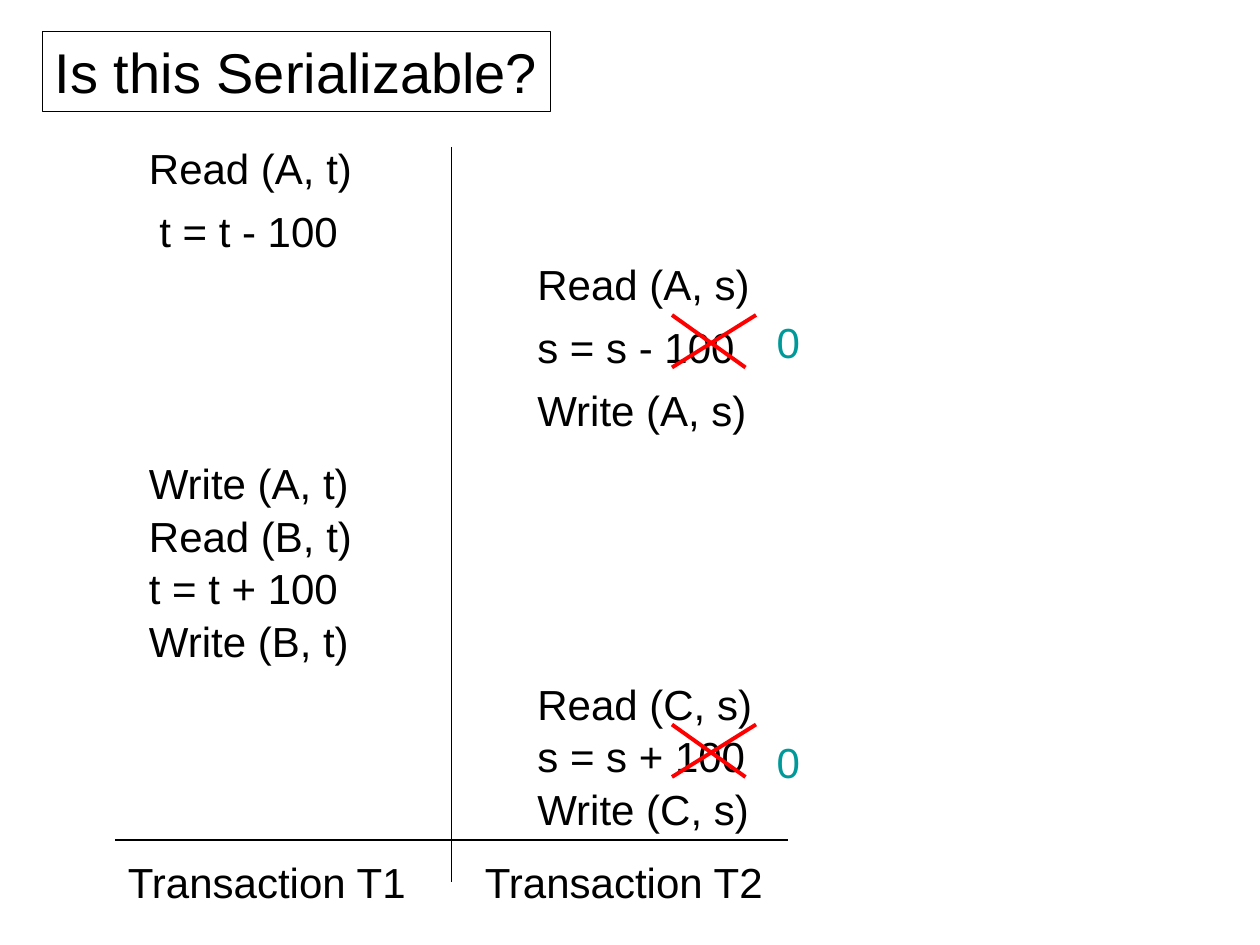
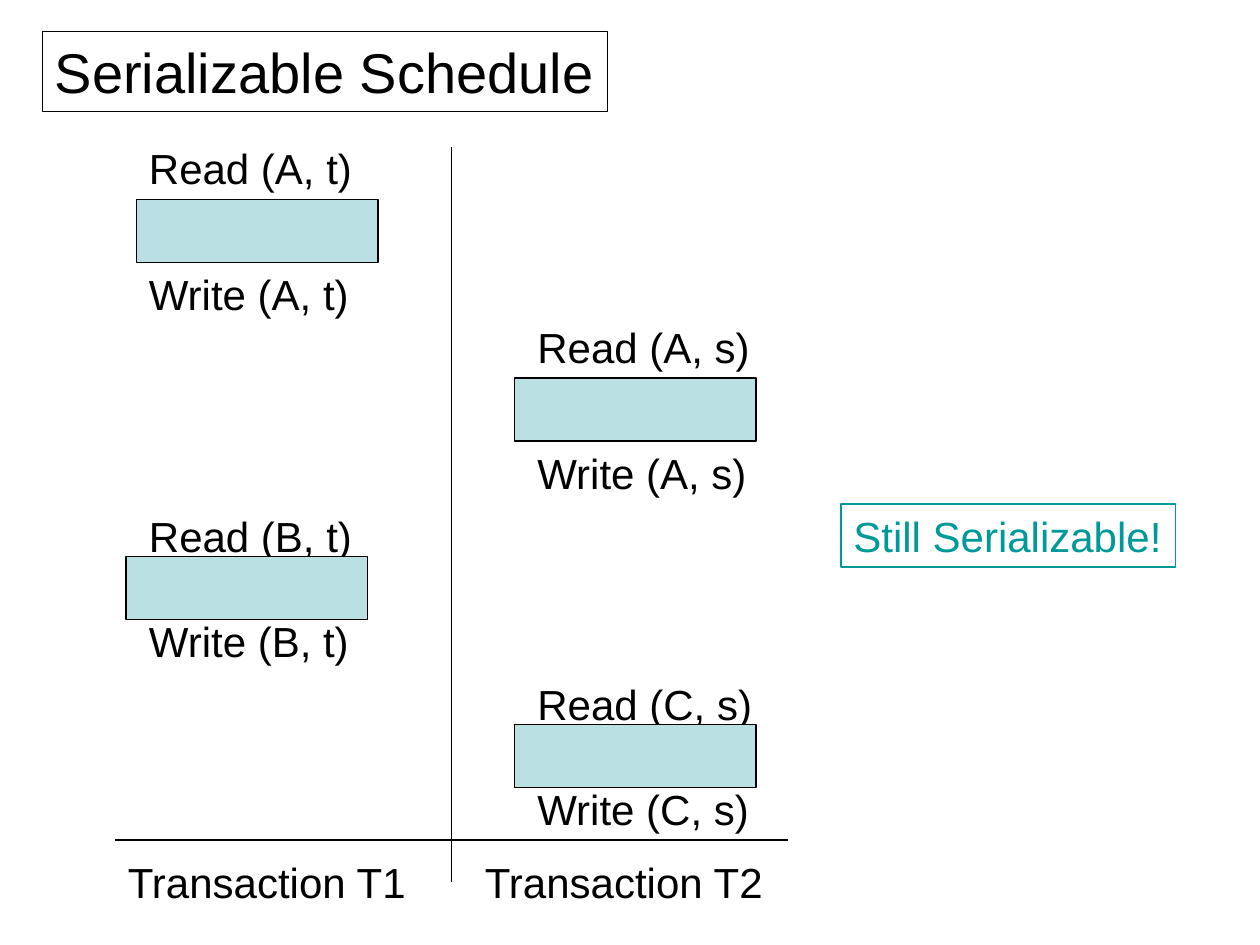
from typing import NamedTuple, Optional

from lxml.etree import SubElement
from pptx import Presentation
from pptx.dml.color import RGBColor
from pptx.enum.shapes import MSO_CONNECTOR, MSO_SHAPE
from pptx.enum.text import MSO_AUTO_SIZE
from pptx.oxml.ns import qn
from pptx.presentation import Presentation as Deck
from pptx.shapes.shapetree import _BaseGroupShapes as Shapes
from pptx.slide import Slide
from pptx.util import Inches, Length, Pt

BLACK = RGBColor(0x00, 0x00, 0x00)
RED = RGBColor(0xFF, 0x00, 0x00)
TEAL = RGBColor(0x00, 0x99, 0x99)
PALE_TEAL = RGBColor(0xBB, 0xE0, 0xE3)

FONT = "Arial"
BODY_SIZE = 24
TITLE_SIZE = 32
THIN = 0.75
THICK = 2.25

CELLS_PER_INCH = 12
COLUMNS = 120
ROWS = 90
LABEL_ROWS = 6
TITLE_ROWS = 7.65
T1 = 13
T2 = 50


class Label(NamedTuple):
    text: str
    column: float
    row: float
    columns: float
    rows: float = LABEL_ROWS
    size: int = BODY_SIZE
    color: RGBColor = BLACK
    outline: Optional[RGBColor] = None


class Rule(NamedTuple):
    start: tuple[float, float]
    end: tuple[float, float]
    color: RGBColor = BLACK
    width: float = THIN


class Cover(NamedTuple):
    column: float
    row: float
    columns: float = 23
    rows: float = LABEL_ROWS


AXES = [Rule((43, 14), (43, 84)), Rule((11, 80), (75, 80))]
TRANSACTIONS = [
    Label("Transaction T1", 11, 81, 29.2),
    Label("Transaction T2", 45, 81, 29.2),
]
SHARED_STEPS = [
    Label("Read (A, t)", T1, 13, 22),
    Label("Read (B, t)", T1, 48, 22),
    Label("Write (B, t)", T1, 58, 22),
    Label("Read (C, s)", T2, 64, 23),
    Label("Write (C, s)", T2, 74, 23),
]
QUESTION_STEPS = [
    Label("t = t - 100", T1 + 1, 19, 19.6),
    Label("Write (A, t)", T1, 43, 22.8),
    Label("t = t + 100", T1, 53, 20.6),
    Label("Read (A, s)", T2, 24, 22.8),
    Label("s = s - 100", T2, 30, 21.4),
    Label("Write (A, s)", T2, 36, 23.7),
    Label("s = s + 100", T2, 69, 22.4),
    Label("0", 72.8, 29.55, 4.6, color=TEAL),
    Label("0", 72.8, 69.55, 4.6, color=TEAL),
]
CROSS_ROWS = [69, 30]
ANSWER_STEPS = [
    Label("Write (A, t)", T1, 25, 22.8),
    Label("Read (A, s)", T2, 30, 22.8),
    Label("Write (A, s)", T2, 42, 23.7),
    Label("Still Serializable!", 80.1, 48, 31.85, color=TEAL, outline=TEAL),
]
COVERS = [Cover(T1, 19), Cover(T1 - 1, 53), Cover(T2 - 1, 36), Cover(T2 - 1, 69)]


def cells(count: float) -> Length:
    return Inches(count / CELLS_PER_INCH)


def draw_label(slide: Slide, label: Label) -> None:
    box = slide.shapes.add_textbox(
        cells(label.column), cells(label.row), cells(label.columns), cells(label.rows)
    )
    if label.outline is not None:
        box.line.color.rgb = label.outline
        box.line.width = Pt(THIN)
    frame = box.text_frame
    frame.word_wrap = False
    frame.auto_size = MSO_AUTO_SIZE.SHAPE_TO_FIT_TEXT
    paragraph = frame.paragraphs[0]
    paragraph.text = label.text
    paragraph.font.name = FONT
    paragraph.font.size = Pt(label.size)
    paragraph.font.color.rgb = label.color


def draw_rule(shapes: Shapes, rule: Rule) -> None:
    connector = shapes.add_connector(
        MSO_CONNECTOR.STRAIGHT, *map(cells, rule.start + rule.end)
    )
    connector.line.color.rgb = rule.color
    connector.line.width = Pt(rule.width)
    SubElement(connector._element.spPr, qn("a:effectLst"))


def draw_cross(slide: Slide, row: float) -> None:
    group = slide.shapes.add_group_shape()
    for start, end in (((71, row + 5), (64, row)), ((64, row + 5), (72, row))):
        draw_rule(group.shapes, Rule(start, end, RED, THICK))


def draw_cover(slide: Slide, cover: Cover) -> None:
    shape = slide.shapes.add_shape(MSO_SHAPE.RECTANGLE, *map(cells, cover))
    shape.shadow.inherit = False
    shape.fill.solid()
    shape.fill.fore_color.rgb = PALE_TEAL
    shape.line.color.rgb = BLACK
    shape.line.width = Pt(THIN)


def add_schedule(
    presentation: Deck, title: str, title_columns: float, steps: list[Label]
) -> Slide:
    slide = presentation.slides.add_slide(presentation.slide_layouts[6])
    heading = Label(
        title, 4.05, 3, title_columns, TITLE_ROWS, TITLE_SIZE, outline=BLACK
    )
    for label in [heading, *SHARED_STEPS, *steps, *TRANSACTIONS]:
        draw_label(slide, label)
    for axis in AXES:
        draw_rule(slide.shapes, axis)
    return slide


def main() -> None:
    presentation = Presentation()
    presentation.slide_width = cells(COLUMNS)
    presentation.slide_height = cells(ROWS)

    question = add_schedule(
        presentation, "Is this Serializable?", 48.4, QUESTION_STEPS
    )
    for row in CROSS_ROWS:
        draw_cross(question, row)

    answer = add_schedule(presentation, "Serializable Schedule", 53.8, ANSWER_STEPS)
    for cover in COVERS:
        draw_cover(answer, cover)

    presentation.save("out.pptx")


if __name__ == "__main__":
    main()
